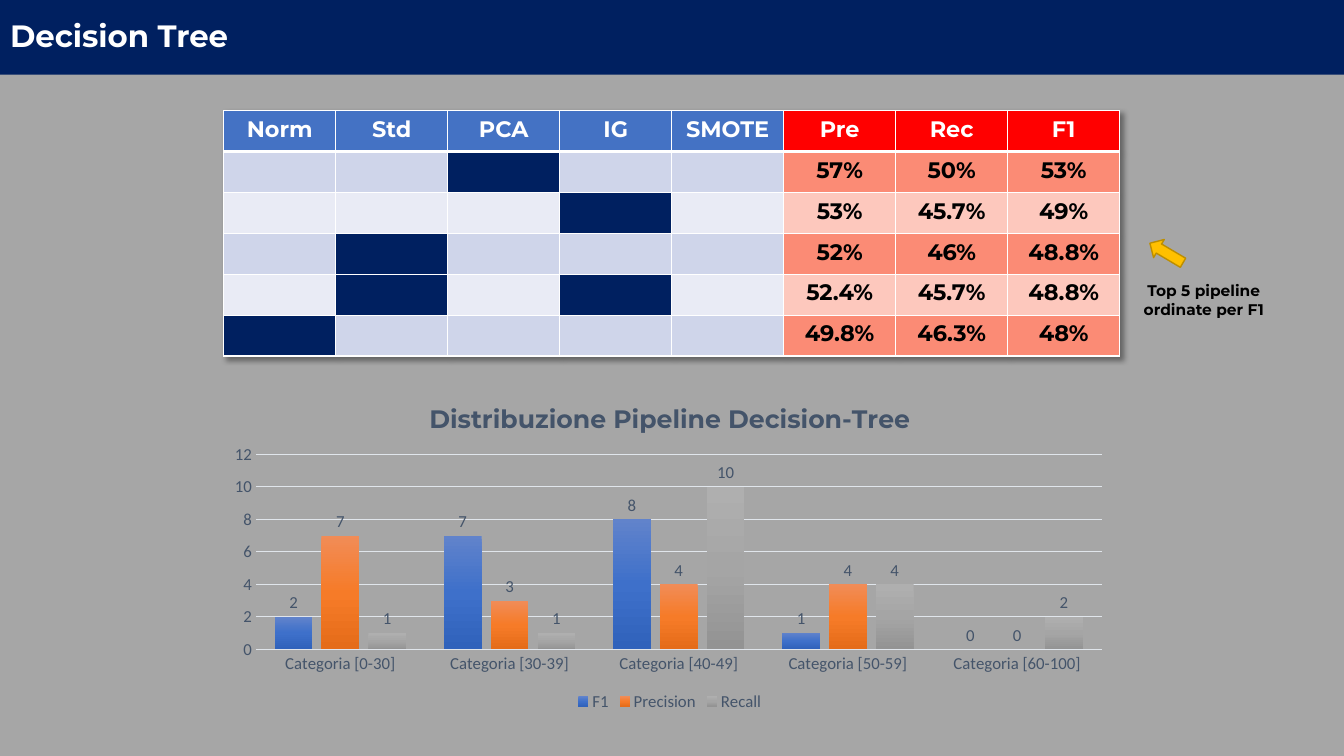
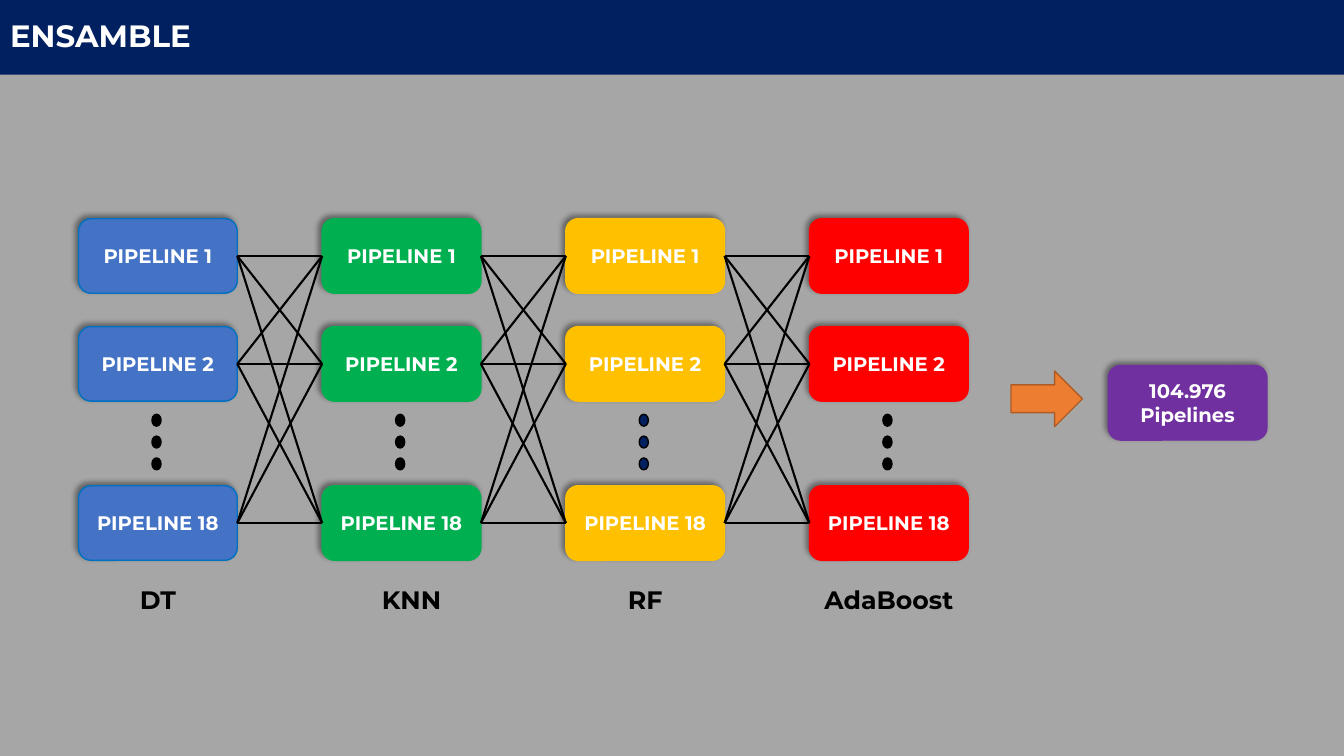
from itertools import product

from lxml import etree
from pptx import Presentation
from pptx.chart.data import CategoryChartData
from pptx.dml.color import RGBColor
from pptx.enum.chart import XL_CHART_TYPE, XL_LABEL_POSITION, XL_LEGEND_POSITION, XL_TICK_MARK
from pptx.enum.shapes import MSO_CONNECTOR, MSO_SHAPE
from pptx.enum.text import MSO_ANCHOR, PP_ALIGN
from pptx.oxml import parse_xml
from pptx.oxml.ns import nsdecls, qn
from pptx.util import Cm, Pt

LEFT, CENTER = PP_ALIGN.LEFT, PP_ALIGN.CENTER
MIDDLE = MSO_ANCHOR.MIDDLE
COLUMNS = XL_CHART_TYPE.COLUMN_CLUSTERED
OUTSIDE_END = XL_LABEL_POSITION.OUTSIDE_END
BOTTOM = XL_LEGEND_POSITION.BOTTOM
NO_TICKS = XL_TICK_MARK.NONE
STRAIGHT = MSO_CONNECTOR.STRAIGHT
ROUNDED, DOT = MSO_SHAPE.ROUNDED_RECTANGLE, MSO_SHAPE.FLOWCHART_CONNECTOR
DOWN_ARROW, RIGHT_ARROW = MSO_SHAPE.DOWN_ARROW, MSO_SHAPE.RIGHT_ARROW

FONT, CHART_FONT = "Montserrat", "Calibri"
NAVY, GREY, WHITE, BLACK = "002060", "A6A6A6", "FFFFFF", "000000"
BLUE, RED, AMBER, GREEN, PURPLE = "4472C4", "FF0000", "FFC000", "00B050", "7030A0"
SLATE, GRID = "44546A", "E0E5EB"
SLIDE_W, SLIDE_H, BAND_H = 33.87, 19.05, 1.88
BOX_W, BOX_H = 4, 1.88

STEPS = ["Norm", "Std", "PCA", "IG", "SMOTE"]
METRICS = ["Pre", "Rec", "F1"]
TOP_PIPELINES = [
    (["PCA"], ["57%", "50%", "53%"]),
    (["IG"], ["53%", "45.7%", "49%"]),
    (["Std"], ["52%", "46%", "48.8%"]),
    (["Std", "IG"], ["52.4%", "45.7%", "48.8%"]),
    (["Norm"], ["49.8%", "46.3%", "48%"]),
]
SCORE_RANGES = ["0-30", "30-39", "40-49", "50-59", "60-100"]
DISTRIBUTION = [
    ("F1", [2, 7, 8, 1, 0], ["6183CB", "3E70CA", "3062BB"]),
    ("Precision", [7, 3, 4, 4, 0], ["F18C57", "F67B28", "E56C19"]),
    ("Recall", [1, 1, 10, 4, 2], ["AFAFAF", "A5A5A5", "939393"]),
]
CLASSIFIERS = [
    ("DT", BLUE, "0070C0", BLACK, 0),
    ("KNN", GREEN, GREEN, BLACK, 0.25),
    ("RF", AMBER, AMBER, NAVY, 0),
    ("AdaBoost", RED, RED, BLACK, 0),
]


def rgb(color):
    """Turn a hex string into a colour."""
    return RGBColor.from_string(color)


def paint(fill, color):
    """Give a fill one solid colour."""
    fill.solid()
    fill.fore_color.rgb = rgb(color)


def style(font, size, color, bold=True, name=FONT):
    """Set every trait of a font."""
    font.name, font.size, font.bold = name, Pt(size), bold
    font.color.rgb = rgb(color)


def write(frame, text, size, color, align=CENTER):
    """Fill a text frame, one paragraph for each line of text."""
    frame.text = text
    for line in frame.paragraphs:
        line.alignment = align
        style(line.font, size, color)


def shadow_effect(degrees):
    """Build a soft black shadow cast in the given direction."""
    return parse_xml(
        f'<a:effectLst {nsdecls("a")}><a:outerShdw blurRad="50800" dist="38100" '
        f'dir="{degrees * 60000}" rotWithShape="0"><a:srgbClr val="000000">'
        '<a:alpha val="40000"/></a:srgbClr></a:outerShdw></a:effectLst>')


def add_figure(slide, kind, x, y, width, height, fill, line):
    """Add a flat preset shape with a thin outline."""
    figure = slide.shapes.add_shape(kind, Cm(x), Cm(y), Cm(width), Cm(height))
    figure.shadow.inherit = False
    paint(figure.fill, fill)
    figure.line.color.rgb = rgb(line)
    figure.line.width = Pt(1)
    return figure


def add_caption(slide, text, x, y, width, height, size):
    """Add a centred bold caption."""
    caption = slide.shapes.add_textbox(Cm(x), Cm(y), Cm(width), Cm(height))
    caption.text_frame.word_wrap = True
    write(caption.text_frame, text, size, BLACK)


def add_titled_slide(prs, title):
    """Add a slide with the navy title band."""
    slide = prs.slides.add_slide(prs.slide_layouts[5])
    band = slide.shapes.title
    band.left, band.top, band.width, band.height = 0, 0, Cm(SLIDE_W), Cm(BAND_H)
    paint(band.fill, NAVY)
    band.text_frame.vertical_anchor = MIDDLE
    write(band.text_frame, title, 22, WHITE, LEFT)
    band.text_frame.paragraphs[0].line_spacing = 0.9
    return slide


def format_cell(cell, text, fill, color, is_header):
    """Fill one table cell and draw its white borders."""
    write(cell.text_frame, text, 16, color)
    properties = cell._tc.get_or_add_tcPr()
    for side in ("lnL", "lnR", "lnT", "lnB"):
        width = Pt(3 if is_header and side == "lnB" else 1)
        properties.append(parse_xml(
            f'<a:{side} {nsdecls("a")} w="{width}"><a:solidFill>'
            f'<a:srgbClr val="{WHITE}"/></a:solidFill></a:{side}>'))
    paint(cell.fill, fill)


def add_pipeline_table(slide, x, y, width, height):
    """Add the table of the best pipelines and their scores."""
    headings = STEPS + METRICS
    rows = len(TOP_PIPELINES) + 1
    table = slide.shapes.add_table(
        rows, len(headings), Cm(x), Cm(y), Cm(width), Cm(height)).table
    table._tbl.tblPr.insert(0, shadow_effect(45))
    for column, heading in enumerate(headings):
        fill = BLUE if heading in STEPS else RED
        format_cell(table.cell(0, column), heading, fill, WHITE, True)
    for row, (used, scores) in enumerate(TOP_PIPELINES, 1):
        step_fill, score_fill = ("CFD5EA", "FB8B75") if row % 2 else ("E9EBF5", "FDC8BD")
        for column, step in enumerate(STEPS):
            fill = NAVY if step in used else step_fill
            format_cell(table.cell(row, column), "", fill, BLACK, False)
        for column, score in enumerate(scores, len(STEPS)):
            format_cell(table.cell(row, column), score, score_fill, BLACK, False)


def shade_series(series, colors):
    """Fill a series with a vertical gradient of three colours."""
    stops = "".join(
        f'<a:gs pos="{position}"><a:srgbClr val="{color}"/></a:gs>'
        for position, color in zip((0, 50000, 100000), colors))
    series._element.get_or_add_spPr().insert(0, parse_xml(
        f'<a:gradFill {nsdecls("a")} rotWithShape="1"><a:gsLst>{stops}</a:gsLst>'
        '<a:lin ang="5400000" scaled="0"/></a:gradFill>'))


def fix_plot_area(chart, x, y, width, height):
    """Place the inner plot area by fractions of the chart."""
    area = chart._chartSpace.chart.plotArea
    for layout in area.findall(qn("c:layout")):
        area.remove(layout)
    places = "".join(
        f'<c:{tag} val="{value}"/>'
        for tag, value in (("x", x), ("y", y), ("w", width), ("h", height)))
    area.insert(0, parse_xml(
        f'<c:layout {nsdecls("c")}><c:manualLayout><c:layoutTarget val="inner"/>'
        f'<c:xMode val="edge"/><c:yMode val="edge"/>{places}</c:manualLayout></c:layout>'))


def format_axes(chart):
    """Style both axes and the gridlines."""
    for axis in (chart.category_axis, chart.value_axis):
        axis.major_tick_mark = axis.minor_tick_mark = NO_TICKS
        style(axis.tick_labels.font, 12, SLATE, False, CHART_FONT)
    scores = chart.value_axis
    scores.minimum_scale, scores.maximum_scale, scores.major_unit = 0, 12, 2
    scores.format.line.fill.background()
    for line in (chart.category_axis.format.line, scores.major_gridlines.format.line):
        line.color.rgb = rgb(GRID)
        line.width = Pt(0.75)


def add_distribution_chart(slide, x, y, width, height):
    """Add the chart of pipelines by score range."""
    data = CategoryChartData()
    data.categories = [f"Categoria [{limits}]" for limits in SCORE_RANGES]
    for name, counts, _ in DISTRIBUTION:
        data.add_series(name, counts)
    chart = slide.shapes.add_chart(
        COLUMNS, Cm(x), Cm(y), Cm(width), Cm(height), data).chart
    style(chart.font, 12, SLATE, False, CHART_FONT)
    chart.has_title = True
    write(chart.chart_title.text_frame, "Distribuzione Pipeline Decision-Tree", 18, SLATE)
    chart.chart_title.include_in_layout = False
    chart.has_legend = True
    chart.legend.position = BOTTOM
    chart.legend.include_in_layout = False
    style(chart.legend.font, 12, SLATE, False, CHART_FONT)
    format_axes(chart)
    plot = chart.plots[0]
    plot.gap_width, plot.overlap, plot.vary_by_categories = 100, -24, False
    for series, (_, _, colors) in zip(plot.series, DISTRIBUTION):
        shade_series(series, colors)
        labels = series.data_labels
        labels.show_value = True
        labels.position = OUTSIDE_END
        style(labels.font, 12, SLATE, False, CHART_FONT)
    fix_plot_area(chart, 0.04, 0.21, 0.94, 0.59)


def add_ranking_note(slide, x, y):
    """Add the note that points at the table."""
    add_caption(slide, "Top 5 pipeline ordinate per F1", x, y + 1.07, 3.78, 1.2, 11)
    pointer = add_figure(slide, DOWN_ARROW, x + 0.68, y, 0.53, 0.97, AMBER, "BD8E00")
    pointer.rotation = 120.6


def add_box(slide, text, x, y, fill, line):
    """Add a rounded box with a shadow and return it."""
    box = add_figure(slide, ROUNDED, x, y, BOX_W, BOX_H, fill, line)
    properties = box._element.spPr
    properties.replace(properties.find(qn("a:effectLst")), shadow_effect(225))
    box.text_frame.vertical_anchor = MIDDLE
    write(box.text_frame, text, 14, WHITE)
    return box


def add_classifier(slide, x, y, name, fill, line, dot_fill, name_shift):
    """Add one classifier column and return its pipeline boxes."""
    boxes = [
        add_box(slide, f"PIPELINE {number}", x, y + drop, fill, line)
        for number, drop in ((1, 0), (2, 2.72), (18, 6.73))]
    for index in range(3):
        add_figure(slide, DOT, x + 1.85, y + 4.93 + index * 0.55, 0.23, 0.3, dot_fill, BLACK)
    add_caption(slide, name, x + name_shift, y + 9.1, BOX_W, 1.02, 18)
    return boxes


def link_columns(slide, sources, targets):
    """Join every source box to every target box."""
    for source, target in product(sources, targets):
        link = slide.shapes.add_connector(STRAIGHT, 0, 0, 0, 0)
        link.begin_connect(source, 3)
        link.end_connect(target, 1)
        link.line.color.rgb = rgb(BLACK)
        link.line.width = Pt(1.5)
        etree.SubElement(link._element.spPr, qn("a:effectLst"))


def add_ensemble(slide, x, y, pitch):
    """Add the linked classifiers and the resulting total."""
    columns = [
        add_classifier(slide, x + index * pitch, y, *classifier)
        for index, classifier in enumerate(CLASSIFIERS)]
    for sources, targets in zip(columns, columns[1:]):
        link_columns(slide, sources, targets)
    add_figure(slide, RIGHT_ARROW, x + 23.5, y + 3.84, 1.8, 1.4, "ED7D31", "AF5C24")
    add_box(slide, "104.976\nPipelines", x + 25.95, y + 3.7, PURPLE, PURPLE)


def main():
    """Build both slides and save them."""
    prs = Presentation()
    prs.slide_width, prs.slide_height = Cm(SLIDE_W), Cm(SLIDE_H)
    paint(prs.slide_master.background.fill, GREY)
    tree = add_titled_slide(prs, "Decision Tree")
    add_distribution_chart(tree, 5.54, 9.7, 22.68, 8.33)
    add_pipeline_table(tree, 5.64, 2.79, 22.58, 6.18)
    add_ranking_note(tree, 28.45, 5.89)
    ensemble = add_titled_slide(prs, "ENSAMBLE")
    add_ensemble(ensemble, 1.98, 5.51, 6.14)
    prs.save("out.pptx")


if __name__ == "__main__":
    main()
